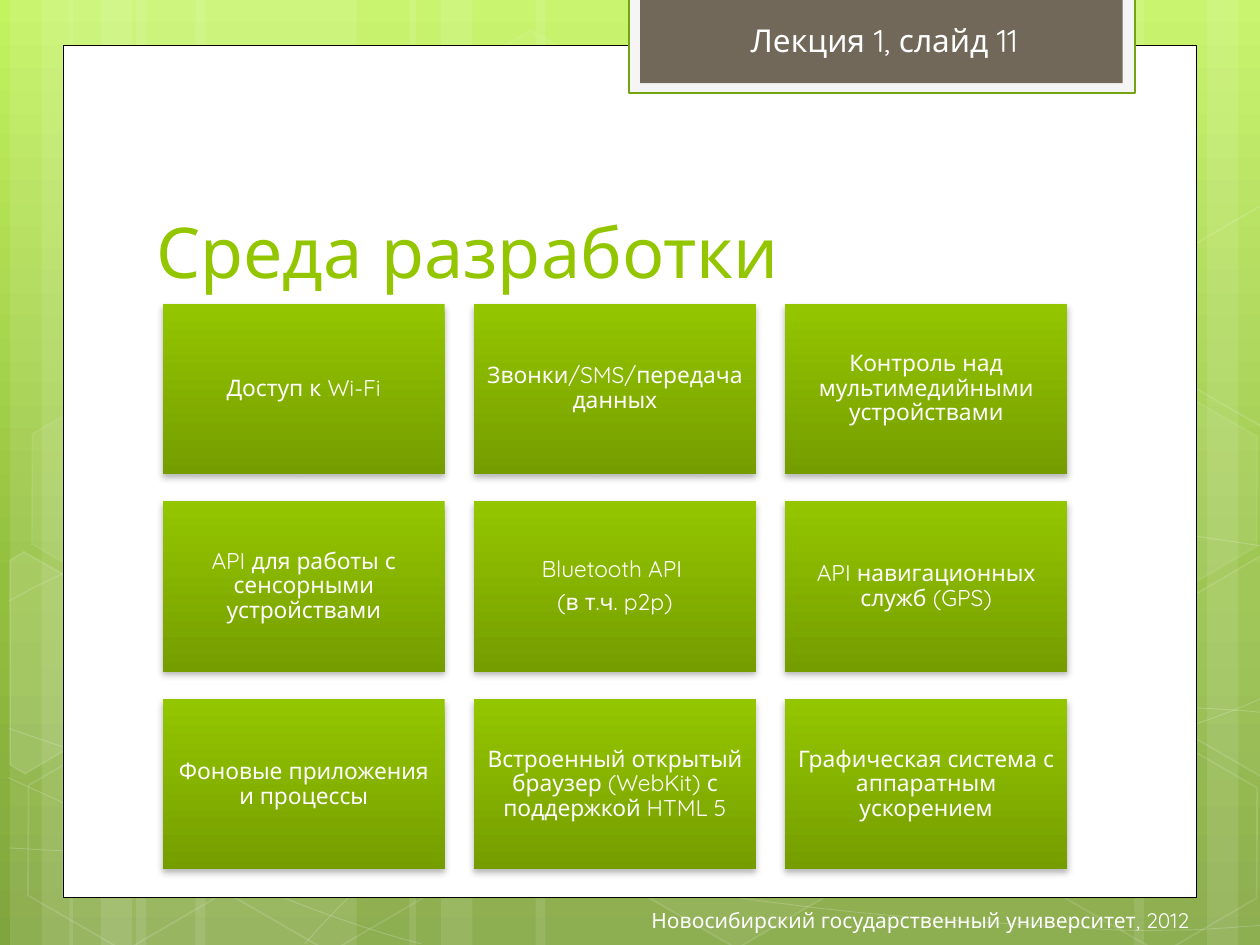
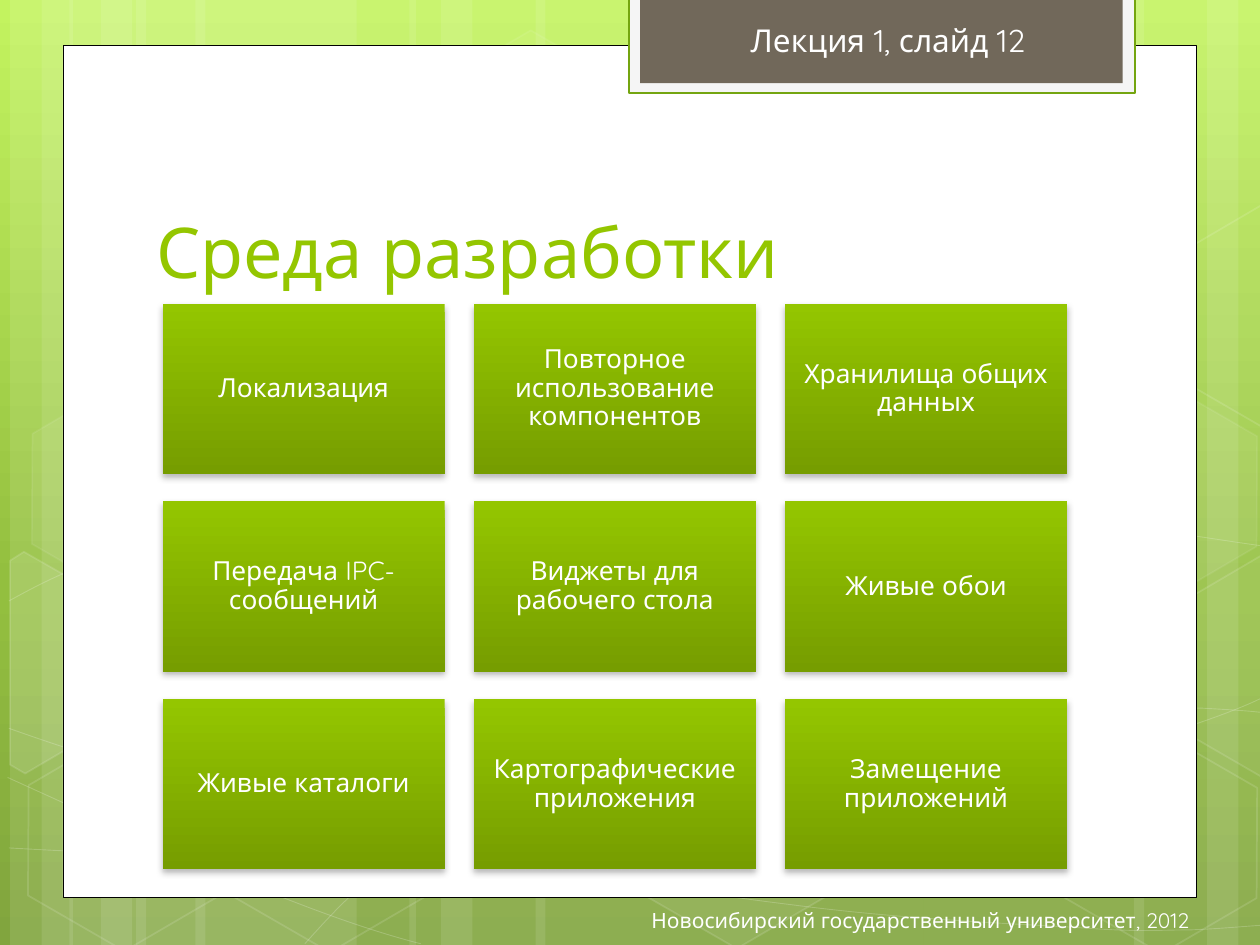
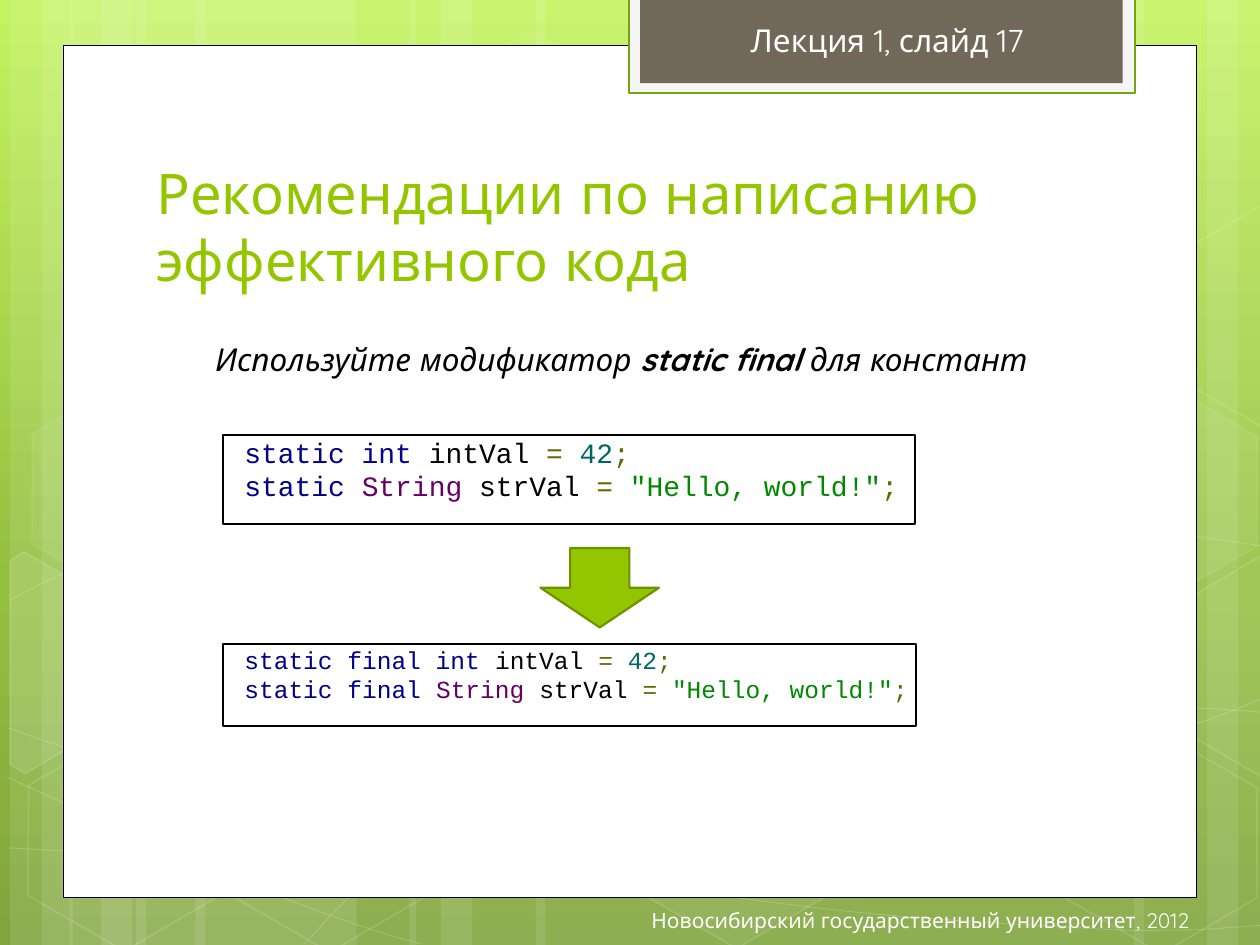
import copy
import itertools
from dataclasses import dataclass

import pptx
import pptx.dml.color
import pptx.dml.fill
import pptx.enum.shapes
import pptx.enum.text
import pptx.oxml.ns
import pptx.shapes.autoshape
import pptx.slide
import pptx.text.text
import pptx.util
from lxml import etree

Inches = pptx.util.Inches
Pt = pptx.util.Pt
Preset = pptx.enum.shapes.MSO_SHAPE
Align = pptx.enum.text.PP_ALIGN
Anchor = pptx.enum.text.MSO_ANCHOR
qn = pptx.oxml.ns.qn
Point = tuple[float, float]


@dataclass(frozen=True)
class Theme:
    font: str = "Quicksand"
    code_font: str = "Courier New"
    code_end_font: str = "Arial"
    white: str = "FFFFFF"
    black: str = "000000"
    green: str = "94C600"
    green_dark: str = "769D00"
    arrow_edge: str = "6D9200"
    tab_edge: str = "74A510"
    tab_rim: str = "F5F5F5"
    tab: str = "71685A"
    keyword: str = "000088"
    type_name: str = "660066"
    punctuation: str = "666600"
    number: str = "006666"
    string: str = "008800"
    backdrop: tuple = ((0, "C3F35F"), (0.62, "93BF3F"), (1, "81A53E"))
    title_size: int = 40
    long_title_size: int = 32
    body_size: int = 18
    footer_size: int = 12


THEME = Theme()


@dataclass(frozen=True)
class Area:
    left: float
    top: float
    width: float
    height: float

    def emu(self) -> tuple:
        return tuple(Inches(side) for side in (self.left, self.top, self.width, self.height))


@dataclass(frozen=True)
class Paint:
    """Fill and line; an opacity of 100 is solid, an empty colour is none."""
    fill: str = ""
    fill_opacity: int = 100
    line: str = ""
    line_width: float = 1
    line_opacity: int = 100


@dataclass(frozen=True)
class Hexagon:
    left: float
    top: float
    fill_opacity: int
    line_opacity: int


@dataclass(frozen=True)
class Fragment:
    """Part of a hexagon cut off by the page edge."""
    points: tuple[Point, ...]
    fill_opacity: int


@dataclass(frozen=True)
class Span:
    text: str
    color: str
    bold: bool = False


@dataclass(frozen=True)
class TileGrid:
    number: int
    size: int
    inset: float
    labels: tuple[str, ...]


# Backdrop: (left, width) of the stripes
STRIPES = ((1.08, 1.75), (0.08, 0.5), (0.33, 0.83), (1.55, 1.75), (0.55, 0.5), (0.8, 0.83),
           (7.33, 1.75), (9.58, 0.5), (9, 0.83), (4.25, 3.08), (3.25, 0.5), (3.5, 0.83))

# Cubic curves: a start, then two controls and an end for each segment
CURVES = (
    ((0.07, 6.73), (0.61, 6.76), (1.15, 6.79), (1.9, 6.78), (2.65, 6.77), (3.58, 6.75),
     (4.58, 6.65), (5.58, 6.55), (7, 6.36), (7.92, 6.17), (8.83, 5.98), (9.77, 5.68),
     (10.07, 5.51)),
    ((0.07, 4.77), (0.36, 4.61), (0.65, 4.46), (1.21, 4.31), (1.78, 4.16), (2.59, 3.94),
     (3.47, 3.87), (4.36, 3.8), (5.44, 3.79), (6.54, 3.87), (7.64, 3.95), (9.47, 4.26),
     (10.07, 4.34)),
    ((0.06, 6.17), (1.27, 6.72), (2.47, 7.27), (3.34, 7.49)),
    ((0.07, 5.78), (0.38, 5.89), (0.7, 6), (1.28, 6.16), (1.86, 6.31), (2.73, 6.56),
     (3.57, 6.73), (4.4, 6.9), (5.45, 7.08), (6.28, 7.18), (7.11, 7.29), (8, 7.33),
     (8.53, 7.36), (9.05, 7.4), (9.19, 7.38), (9.45, 7.38), (9.71, 7.37), (9.89, 7.35),
     (10.07, 7.34)),
    ((2.42, 7.49), (2.6, 7.29), (2.78, 7.09), (3.02, 6.91), (3.26, 6.73), (3.6, 6.53),
     (3.88, 6.39), (4.16, 6.25), (4.33, 6.19), (4.7, 6.09), (5.06, 5.99), (5.73, 5.85),
     (6.08, 5.78), (6.44, 5.71), (6.49, 5.71), (6.8, 5.69), (7.11, 5.66), (7.6, 5.63),
     (7.94, 5.62), (8.29, 5.61), (8.86, 5.62), (8.86, 5.62), (8.86, 5.62), (9.53, 5.62),
     (9.53, 5.62), (9.71, 5.63), (9.88, 5.64), (9.97, 5.65), (10.06, 5.66), (10.03, 5.65),
     (10.06, 5.66)),
)

HEXAGONS = (
    Hexagon(3.34, 0.36, 4, 8), Hexagon(4.97, 5.89, 6, 12), Hexagon(0.11, 5.91, 0, 12),
    Hexagon(0.14, 3.12, 7, 8), Hexagon(1.74, 5.92, 0, 12), Hexagon(7.53, 4.53, 10, 12),
    Hexagon(8.34, 5.93, 0, 12), Hexagon(8.34, 3.14, 7, 8),
)

FRAGMENTS = (
    Fragment(((0.08, 4.45), (0.19, 4.38), (0.96, 4.82), (0.95, 5.7), (0.2, 6.14),
              (0.08, 6.07)), 10),
    Fragment(((9.26, 4.85), (10.01, 4.41), (10.09, 4.46), (10.09, 6.13), (10.02, 6.17),
              (9.26, 5.73)), 4),
    Fragment(((9.26, 2.07), (10.01, 1.63), (10.1, 1.68), (10.09, 3.35), (10.02, 3.39),
              (9.26, 2.95)), 0),
)

TILE_GRIDS = (
    TileGrid(11, 13, 0.05, (
        "Доступ к Wi-Fi", "Звонки/SMS/передача данных",
        "Контроль над мультимедийными устройствами",
        "API для работы с сенсорными устройствами", "Bluetooth API \n(в т.ч. p2p)",
        "API навигационных служб (GPS)",
        "Фоновые приложения и процессы",
        "Встроенный открытый браузер (WebKit) с поддержкой HTML 5",
        "Графическая система с аппаратным ускорением")),
    TileGrid(12, 15, 0.06, (
        "Локализация", "Повторное использование компонентов", "Хранилища общих данных",
        "Передача IPC-сообщений", "Виджеты для рабочего стола", "Живые обои",
        "Живые каталоги", "Картографические приложения", "Замещение приложений")),
)


# Painting
def rgb(color: str) -> pptx.dml.color.RGBColor:
    return pptx.dml.color.RGBColor.from_string(color)


def set_opacity(shape: pptx.shapes.autoshape.Shape, parent: str, percent: int) -> None:
    if percent < 100:
        color = shape.element.spPr.find(f"{parent}a:solidFill/a:srgbClr",
                                        {"a": pptx.oxml.ns.nsuri("a")})
        etree.SubElement(color, qn("a:alpha"), val=str(percent * 1000))


def apply_paint(shape: pptx.shapes.autoshape.Shape, paint: Paint) -> None:
    shape.shadow.inherit = False
    if paint.fill and paint.fill_opacity:
        shape.fill.solid()
        shape.fill.fore_color.rgb = rgb(paint.fill)
        set_opacity(shape, "", paint.fill_opacity)
    else:
        shape.fill.background()
    if paint.line:
        shape.line.color.rgb = rgb(paint.line)
        shape.line.width = Pt(paint.line_width)
        set_opacity(shape, "a:ln/", paint.line_opacity)
    else:
        shape.line.fill.background()


def apply_gradient(fill: pptx.dml.fill.FillFormat, element: etree.ElementBase,
                   stops: tuple) -> None:
    """Paint a gradient that runs from top to bottom."""
    fill.gradient()
    fill.gradient_angle = 270
    stop_list = next(element.iter(qn("a:gsLst")))
    while len(stop_list) < len(stops):
        stop_list.append(copy.deepcopy(stop_list[0]))
    for stop, (position, color) in zip(fill.gradient_stops, stops):
        stop.position = position
        stop.color.rgb = rgb(color)


def add_tile_shadow(shape: pptx.shapes.autoshape.Shape) -> None:
    effects = shape.element.spPr.find(qn("a:effectLst"))
    shadow = etree.SubElement(effects, qn("a:outerShdw"), blurRad=str(Pt(4)), dist=str(Pt(2)),
                              dir="5400000", rotWithShape="0")
    color = etree.SubElement(shadow, qn("a:srgbClr"), val=THEME.black)
    etree.SubElement(color, qn("a:alpha"), val="28000")


def add_preset(page: pptx.slide.Slide, preset: Preset, area: Area,
               paint: Paint) -> pptx.shapes.autoshape.Shape:
    shape = page.shapes.add_shape(preset, *area.emu())
    apply_paint(shape, paint)
    return shape


def add_outline(page: pptx.slide.Slide, points: tuple[Point, ...], closed: bool,
                paint: Paint) -> pptx.shapes.autoshape.Shape:
    corners = [(Inches(x), Inches(y)) for x, y in points]
    builder = page.shapes.build_freeform(*corners[0])
    builder.add_line_segments(corners[1:], close=closed)
    shape = builder.convert_to_shape()
    apply_paint(shape, paint)
    return shape


def add_curve(page: pptx.slide.Slide, points: tuple[Point, ...], paint: Paint) -> None:
    """Draw an outline whose points, three by three, become cubic segments."""
    shape = add_outline(page, points, False, paint)
    lines = list(shape.element.iter(qn("a:lnTo")))
    for first in range(0, len(lines), 3):
        segment = etree.Element(qn("a:cubicBezTo"))
        lines[first].addprevious(segment)
        for line in lines[first:first + 3]:
            segment.append(line[0])
            line.getparent().remove(line)


# Text
def style_font(font: pptx.text.text.Font, name: str, size: int, color: str) -> None:
    font.name = name
    font.size = Pt(size)
    font.color.rgb = rgb(color)


def set_insets(frame: pptx.text.text.TextFrame, left: float, top: float, right: float,
               bottom: float) -> None:
    frame.margin_left, frame.margin_top = Inches(left), Inches(top)
    frame.margin_right, frame.margin_bottom = Inches(right), Inches(bottom)


def add_spans(para, spans: tuple[Span, ...]) -> None:
    for span in spans:
        run = para.add_run()
        run.text = span.text
        run.font.color.rgb = rgb(span.color)
        if span.bold:
            run.font.bold = True


def add_label(page: pptx.slide.Slide, area: Area, text: str, size: int, color: str,
              align: Align = Align.LEFT,
              anchor: Anchor = Anchor.TOP) -> pptx.text.text.TextFrame:
    """Add a text box with one paragraph for each line of text."""
    frame = page.shapes.add_textbox(*area.emu()).text_frame
    frame.word_wrap = True
    frame.vertical_anchor = anchor
    frame.text = text
    for para in frame.paragraphs:
        para.alignment = align
        style_font(para.font, THEME.font, size, color)
    return frame


# Shared page parts
def draw_backdrop(page: pptx.slide.Slide) -> None:
    apply_gradient(page.background.fill, page.element, THEME.backdrop)
    for left, width in STRIPES:
        add_preset(page, Preset.RECTANGLE, Area(left, 0, width, 7.5), Paint(THEME.white, 10))
    for points in CURVES:
        add_curve(page, points, Paint(line=THEME.white, line_width=0.5, line_opacity=20))
    for hexagon in HEXAGONS:
        shape = add_preset(page, Preset.HEXAGON, Area(hexagon.left, hexagon.top, 1.75, 1.52),
                           Paint(THEME.white, hexagon.fill_opacity, THEME.white, 1,
                                 hexagon.line_opacity))
        shape.adjustments[0] = 0.285
        shape.rotation = 30
    for fragment in FRAGMENTS:
        add_outline(page, fragment.points, True,
                    Paint(THEME.white, fragment.fill_opacity, THEME.white, 1, 12))


def start_page(deck, number: int, title: str, title_size: int) -> pptx.slide.Slide:
    page = deck.slides.add_slide(deck.slide_layouts[6])
    draw_backdrop(page)
    add_preset(page, Preset.RECTANGLE, Area(0.5, 0.36, 9, 6.76),
               Paint(THEME.white, line=THEME.black, line_width=0.5))
    add_preset(page, Preset.RECTANGLE, Area(4.99, -0.02, 4.02, 0.76),
               Paint(THEME.tab_rim, line=THEME.tab_edge, line_width=1.25))
    add_preset(page, Preset.RECTANGLE, Area(5.08, -0.02, 3.83, 0.68), Paint(THEME.tab))
    add_label(page, Area(1.14, 1.12, 7.68, 1.25), title, title_size, THEME.green,
              anchor=Anchor.BOTTOM)
    add_label(page, Area(5.86, 0.12, 2.59, 0.4), f"Лекция 1, слайд {number}",
              THEME.body_size, THEME.white)
    add_label(page, Area(3.11, 7.1, 6.43, 0.4),
              "Новосибирский государственный университет, 2012", THEME.footer_size,
              THEME.white, Align.RIGHT, Anchor.MIDDLE)
    return page


# Slides with tiles
def draw_tile(page: pptx.slide.Slide, area: Area, label: str, grid: TileGrid) -> None:
    tile = add_preset(page, Preset.RECTANGLE, area, Paint())
    apply_gradient(tile.fill, tile.element, ((0, THEME.green), (1, THEME.green_dark)))
    add_tile_shadow(tile)
    frame = add_label(page, area, label, grid.size, THEME.white, Align.CENTER, Anchor.MIDDLE)
    set_insets(frame, *[grid.inset] * 4)
    for para in frame.paragraphs:
        para.line_spacing = 0.9
        para.space_after = Pt(5)


def build_tile_page(deck, grid: TileGrid) -> None:
    page = start_page(deck, grid.number, "Среда разработки", THEME.title_size)
    cells = itertools.product(range(3), range(3))
    for (row, column), label in zip(cells, grid.labels):
        area = Area(1.29 + 2.47 * column, 2.41 + 1.57 * row, 2.24, 1.35)
        draw_tile(page, area, label, grid)


# Slide with code
def constant_lines(modifier: str) -> tuple[tuple[Span, ...], ...]:
    equals = Span("= ", THEME.punctuation)
    semicolon = Span(";", THEME.punctuation)
    return (
        (Span(f"{modifier} int ", THEME.keyword), Span("intVal ", THEME.black), equals,
         Span("42", THEME.number), semicolon),
        (Span(f"{modifier} ", THEME.keyword), Span("String ", THEME.type_name),
         Span("strVal ", THEME.black), equals, Span('"Hello, world!"', THEME.string), semicolon),
    )


def draw_code(page: pptx.slide.Slide, area: Area, modifier: str, size: int) -> None:
    box = add_preset(page, Preset.RECTANGLE, area,
                     Paint(THEME.white, line=THEME.black, line_width=1.25))
    frame = box.text_frame
    frame.word_wrap = True
    frame.vertical_anchor = Anchor.MIDDLE
    set_insets(frame, 0.17, 0, 0, 0.17)
    para = frame.paragraphs[0]
    para.alignment = Align.LEFT
    style_font(para.font, THEME.code_font, size, THEME.black)
    declaration, text_declaration = constant_lines(modifier)
    add_spans(para, declaration)
    para.add_line_break()
    add_spans(para, text_declaration)
    ending = para.add_run()
    ending.text = " "
    style_font(ending.font, THEME.code_end_font, size - 2, THEME.black)


def build_code_page(deck) -> None:
    page = start_page(deck, 17, "Рекомендации по написанию эффективного кода",
                      THEME.long_title_size)
    frame = add_label(page, Area(1.61, 2.65, 6.7, 0.4), "", THEME.body_size, THEME.black)
    advice = frame.paragraphs[0]
    advice.font.italic = True
    add_spans(advice, (Span("Используйте модификатор ", THEME.black),
                       Span("static final ", THEME.black, bold=True),
                       Span("для констант", THEME.black)))
    draw_code(page, Area(1.77, 3.45, 5.49, 0.71), "static", 16)
    draw_code(page, Area(1.77, 5.11, 5.5, 0.65), "static final", 14)
    add_preset(page, Preset.DOWN_ARROW, Area(4.29, 4.35, 0.94, 0.63),
               Paint(THEME.green, line=THEME.arrow_edge, line_width=1.25))


def main() -> None:
    deck = pptx.Presentation()
    deck.slide_width, deck.slide_height = Inches(10), Inches(7.5)
    for grid in TILE_GRIDS:
        build_tile_page(deck, grid)
    build_code_page(deck)
    deck.save("out.pptx")


if __name__ == "__main__":
    main()
